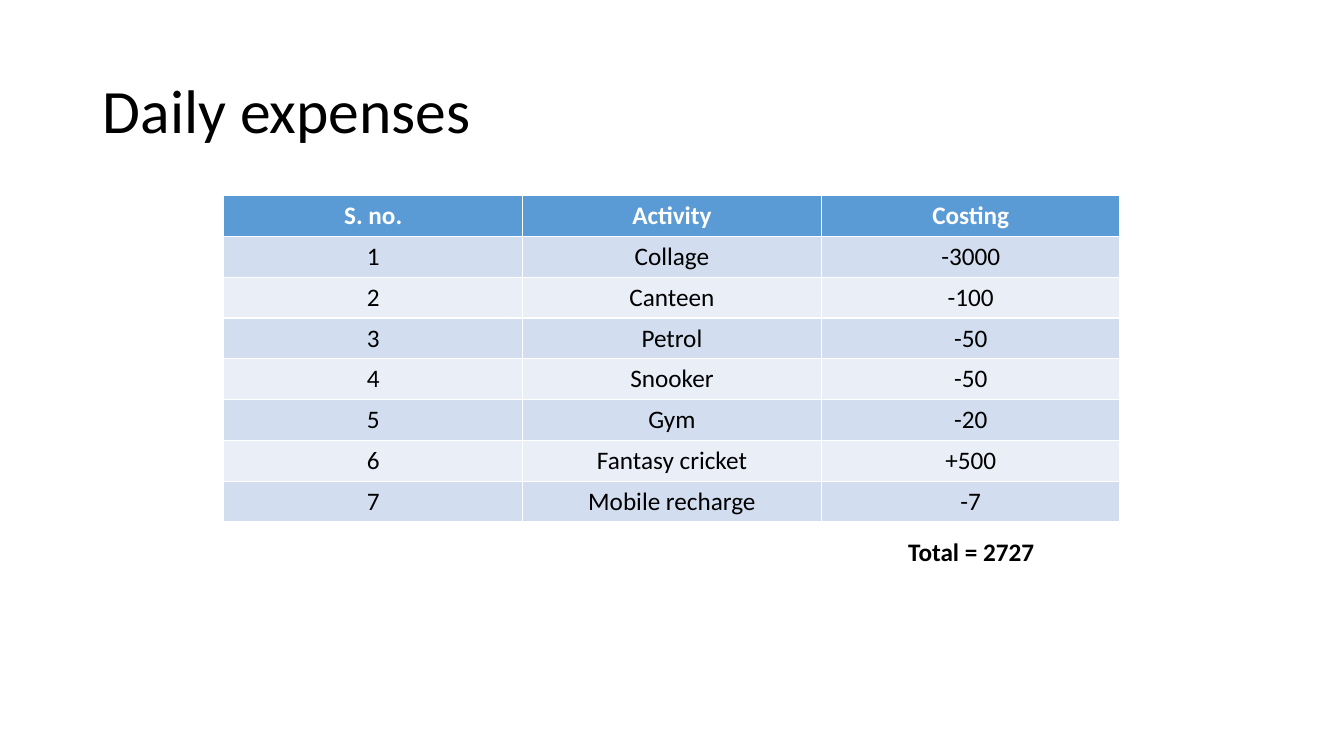
from dataclasses import dataclass

from pptx import Presentation
from pptx.dml.color import RGBColor
from pptx.enum.text import MSO_ANCHOR as Anchor, PP_ALIGN as Align
from pptx.util import Inches, Pt


@dataclass(frozen=True)
class Theme:
    font: str = "Calibri"
    title_size: int = 44
    body_size: int = 18
    ink: str = "000000"
    header_ink: str = "FFFFFF"
    header_fill: str = "5B9BD5"
    bands: tuple = ("D2DEEF", "EAEFF7")


theme = Theme()


def write(paragraph, text, size=theme.body_size, color=theme.ink, bold=False):
    run = paragraph.add_run()
    run.text = text
    font_format = {"name": theme.font, "size": Pt(size), "bold": bold}
    for name, value in font_format.items():
        setattr(run.font, name, value)
    run.font.color.rgb = RGBColor.from_string(color)


presentation = Presentation()
presentation.slide_width = Inches(13.33)
presentation.slide_height = Inches(7.5)
slide = presentation.slides.add_slide(presentation.slide_layouts[6])

title = slide.shapes.add_textbox(Inches(0.92), Inches(0.4), Inches(11.5), Inches(1.45))
title_format = {"word_wrap": True, "vertical_anchor": Anchor.MIDDLE}
for name, value in title_format.items():
    setattr(title.text_frame, name, value)
title_paragraph = title.text_frame.paragraphs[0]
title_paragraph.line_spacing = 0.9
write(title_paragraph, "Daily expenses", theme.title_size)

expenses = [
    ("Collage", "-3000"),
    ("Canteen", "-100"),
    ("Petrol", "-50"),
    ("Snooker", "-50"),
    ("Gym", "-20"),
    ("Fantasy cricket", "+500"),
    ("Mobile recharge", "-7"),
]
rows = [("S. no.", "Activity", "Costing")]
rows += [(str(number), *expense) for number, expense in enumerate(expenses, 1)]

table = slide.shapes.add_table(
    len(rows), len(rows[0]), Inches(2.22), Inches(1.94), Inches(8.89), Inches(3.24)
).table
for row_index, row in enumerate(rows):
    is_header = row_index == 0
    fill = theme.header_fill if is_header else theme.bands[(row_index - 1) % 2]
    color = theme.header_ink if is_header else theme.ink
    for column_index, text in enumerate(row):
        cell = table.cell(row_index, column_index)
        cell.fill.solid()
        cell.fill.fore_color.rgb = RGBColor.from_string(fill)
        paragraph = cell.text_frame.paragraphs[0]
        paragraph.alignment = Align.CENTER
        write(paragraph, text, color=color, bold=is_header)

total = slide.shapes.add_textbox(Inches(8.91), Inches(5.27), Inches(1.46), Inches(0.4))
total.text_frame.word_wrap = False
write(total.text_frame.paragraphs[0], "Total = 2727", bold=True)

presentation.save("out.pptx")
